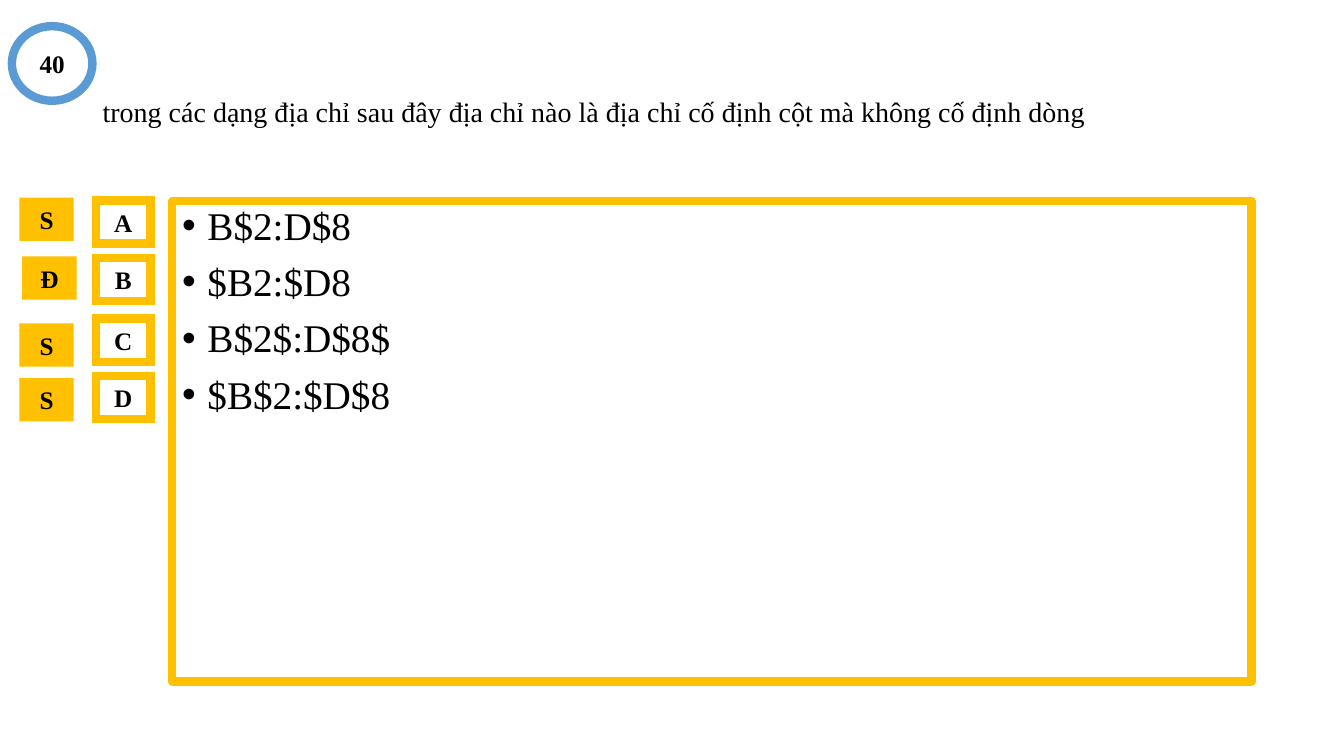
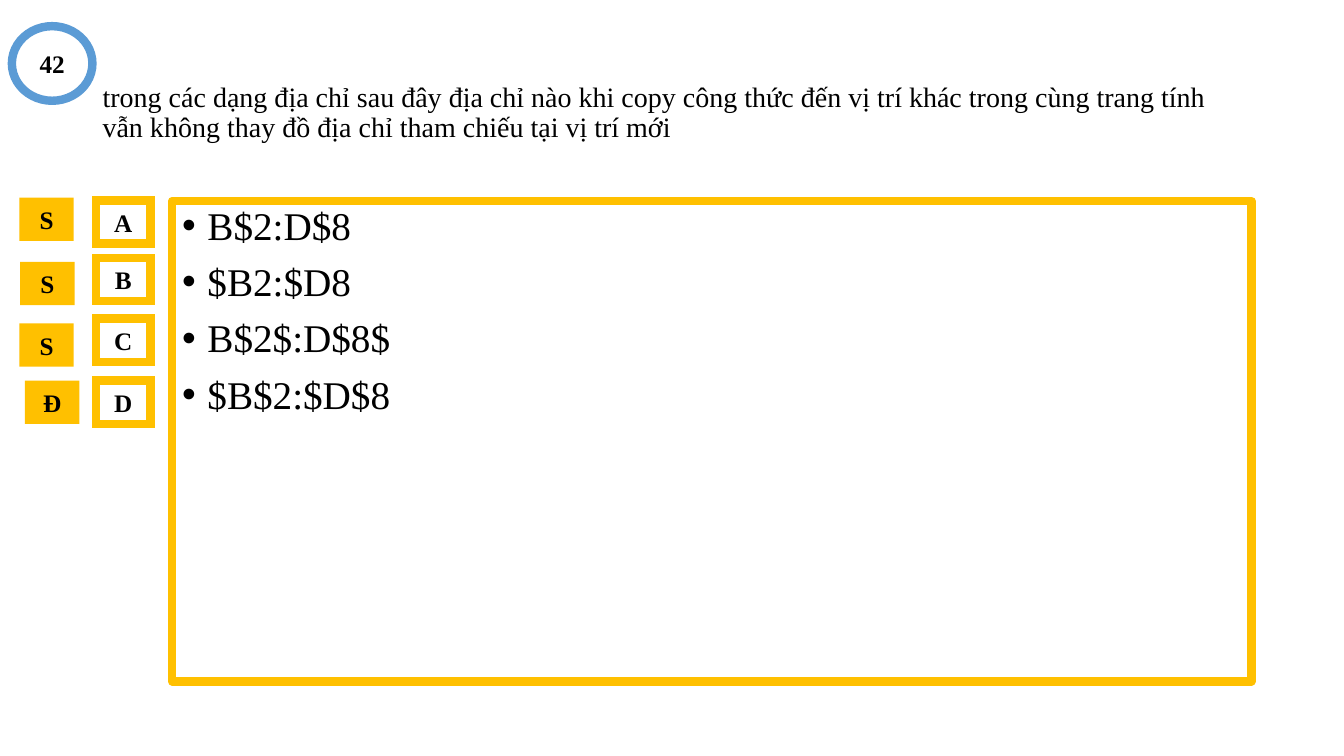
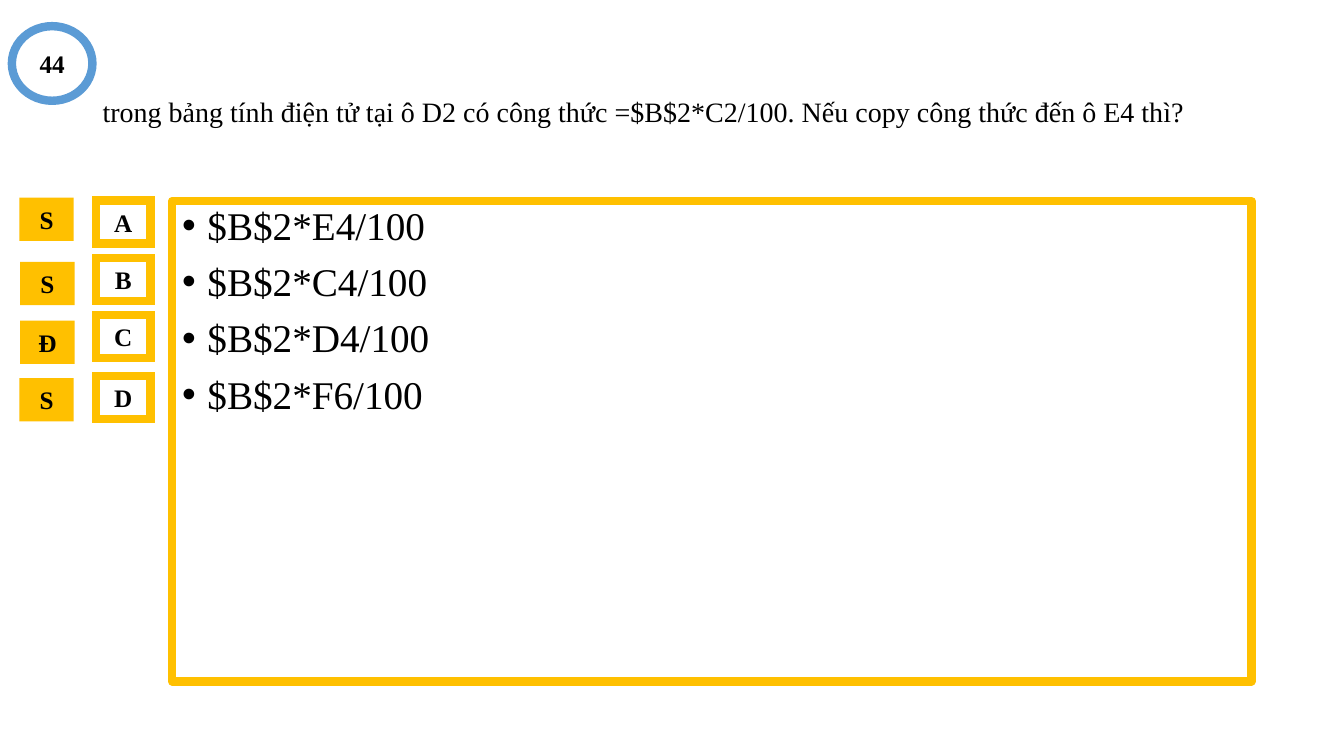
from lxml import etree
from pptx import Presentation
from pptx.dml import color
from pptx.enum import shapes, text
from pptx.oxml import ns
from pptx.util import Cm, Pt

# Shared style
FONT = "Times New Roman"
WHITE, BLACK, GOLD, BLUE = "FFFFFF", "000000", "FFC000", "5B9BD5"
BORDER = 6
BOX_W, BOX_H = 1.37, 1.09
LETTER_X = 2.42

# Row tops of the letters, and left and top of the marks, in cm
LETTER_TOPS = {"A": 5.05, "B": 6.5, "C": 8.03, "D": 9.47}
WRONG_AT = {"A": (0.49, 4.98), "B": (0.51, 6.6), "C": (0.49, 8.15), "D": (0.49, 9.53)}
RIGHT_AT = {"B": (0.56, 6.46), "C": (0.51, 8.08), "D": (0.63, 9.59)}

# Number, question, answers, right letter, letters moved from their usual row
ADDRESSES = ["B$2:D$8", "$B2:$D8", "B$2$:D$8$", "$B$2:$D$8"]
QUESTIONS = [
    (40, "trong các dạng địa chỉ sau đây địa chỉ nào là địa chỉ cố định cột "
         "mà không cố định dòng", ADDRESSES, "B", {}),
    (42, "trong các dạng địa chỉ sau đây địa chỉ nào khi copy công thức đến vị trí khác "
         "trong cùng trang tính vẫn không thay đồ địa chỉ tham chiếu tại vị trí mới",
     ADDRESSES, "D", {"D": 9.59}),
    (44, "trong bảng tính điện tử tại ô D2 có công thức =$B$2*C2/100. "
         "Nếu copy công thức đến ô E4 thì?",
     ["$B$2*E4/100", "$B$2*C4/100", "$B$2*D4/100", "$B$2*F6/100"], "C", {"C": 7.94}),
]


def rgb(value):
    return color.RGBColor.from_string(value)


def add_xml(parent, tag, **attrs):
    return etree.SubElement(parent, ns.qn(tag), attrs)


class Quiz:
    def __init__(self):
        self.prs = Presentation()
        self.prs.slide_width, self.prs.slide_height = Cm(33.87), Cm(19.05)
        self.s = None

    def new_slide(self):
        self.s = self.prs.slides.add_slide(self.prs.slide_layouts[5])

    def paint(self, sp, fill, alpha=100, line=None):
        sp.fill.solid()
        sp.fill.fore_color.rgb = rgb(fill)
        if alpha < 100:
            clr = sp.fill._xPr.find(".//" + ns.qn("a:srgbClr"))
            add_xml(clr, "a:alpha", val=str(alpha * 1000))
        if line:
            sp.line.color.rgb = rgb(line)
            sp.line.width = Pt(BORDER)
        else:
            sp.line.fill.background()

    def style(self, p, size, align, bold=False):
        p.alignment = align
        p.font.name, p.font.size, p.font.bold = FONT, Pt(size), bold
        p.font.color.rgb = rgb(BLACK)

    def title(self, wording):
        sp = self.s.shapes.title
        sp.left, sp.top, sp.width, sp.height = Cm(2.33), Cm(1.01), Cm(29.21), Cm(3.68)
        self.paint(sp, WHITE, 79)
        tf = sp.text_frame
        tf.text = wording
        tf.word_wrap = True
        tf.auto_size = text.MSO_AUTO_SIZE.NONE
        tf.vertical_anchor = text.MSO_ANCHOR.MIDDLE
        p = tf.paragraphs[0]
        p.line_spacing = 0.9
        self.style(p, 20, text.PP_ALIGN.LEFT)

    def answers(self, items):
        sp = self.s.shapes.add_textbox(Cm(4.34), Cm(5.07), Cm(27.2), Cm(12.1))
        self.paint(sp, WHITE, 79, GOLD)
        add_xml(sp.line._get_or_add_ln(), "a:round")
        tf = sp.text_frame
        tf.word_wrap = True
        for i, item in enumerate(items):
            p = tf.paragraphs[0] if i == 0 else tf.add_paragraph()
            p.text = item
            p.line_spacing = 0.9
            p.space_before = Pt(10 if i else 0)
            pPr = p._p.get_or_add_pPr()
            pPr.set("marL", str(Cm(0.64)))
            pPr.set("indent", str(-Cm(0.64)))
            add_xml(pPr, "a:buFont", typeface="Arial")
            add_xml(pPr, "a:buChar", char="•")
            self.style(p, 28, text.PP_ALIGN.LEFT)

    def label(self, kind, x, y, w, h, wording, fill, alpha=100, line=None):
        sp = self.s.shapes.add_shape(kind, Cm(x), Cm(y), Cm(w), Cm(h))
        sp.shadow.inherit = False
        self.paint(sp, fill, alpha, line)
        if line:
            add_xml(sp.line._get_or_add_ln(), "a:miter", lim="800000")
        tf = sp.text_frame
        tf.text = wording
        tf.vertical_anchor = text.MSO_ANCHOR.MIDDLE
        self.style(tf.paragraphs[0], 18, text.PP_ALIGN.CENTER, bold=True)

    def number(self, value):
        self.label(shapes.MSO_SHAPE.OVAL, 0.3, 0.66, 2.03, 1.88, str(value), WHITE, line=BLUE)

    def letter(self, name, top):
        self.label(shapes.MSO_SHAPE.RECTANGLE, LETTER_X, top, BOX_W, BOX_H, name,
                   WHITE, 85, GOLD)

    def mark(self, name, is_right):
        x, y = (RIGHT_AT if is_right else WRONG_AT)[name]
        self.label(shapes.MSO_SHAPE.RECTANGLE, x, y, BOX_W, BOX_H,
                   "Đ" if is_right else "S", GOLD)


def main():
    quiz = Quiz()
    for value, question, items, right, moved in QUESTIONS:
        quiz.new_slide()
        quiz.title(question)
        quiz.answers(items)
        quiz.number(value)
        # Letter and right/wrong mark of each row
        for name, top in {**LETTER_TOPS, **moved}.items():
            quiz.letter(name, top)
            quiz.mark(name, name == right)
    quiz.prs.save("out.pptx")


if __name__ == "__main__":
    main()
